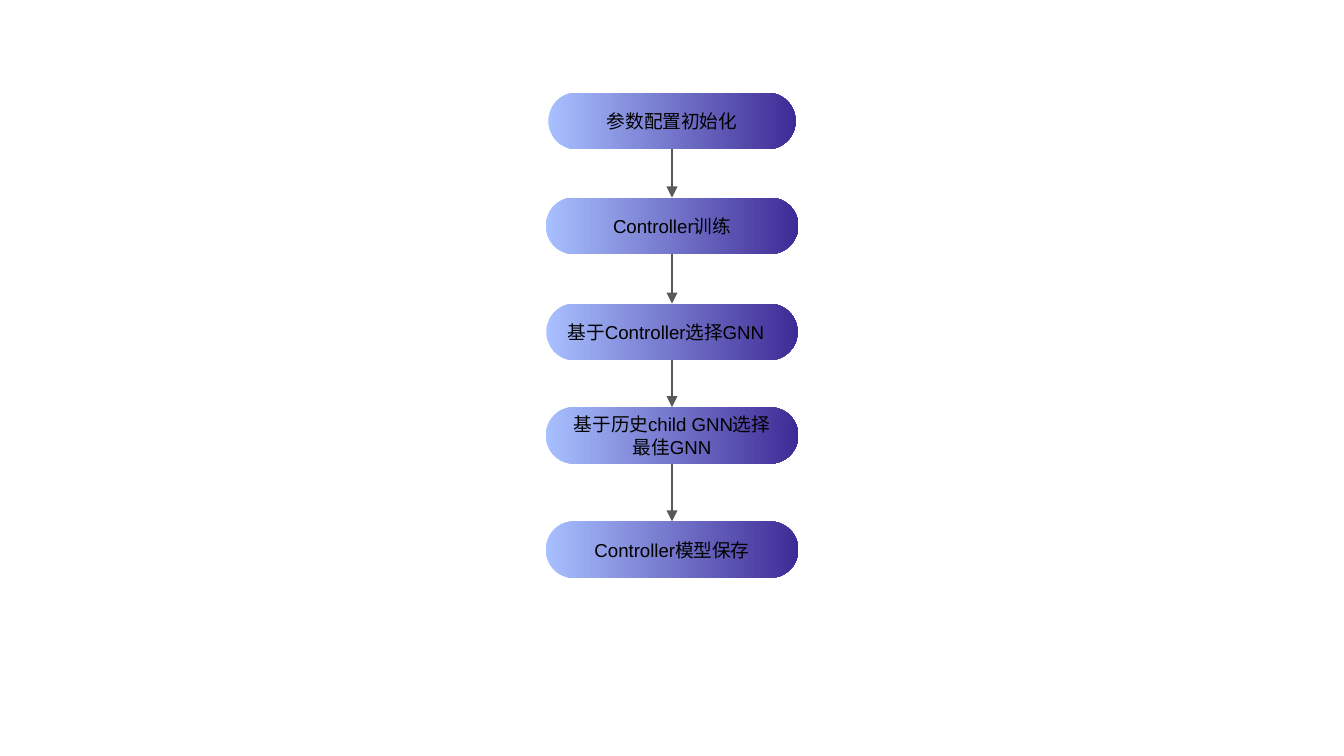
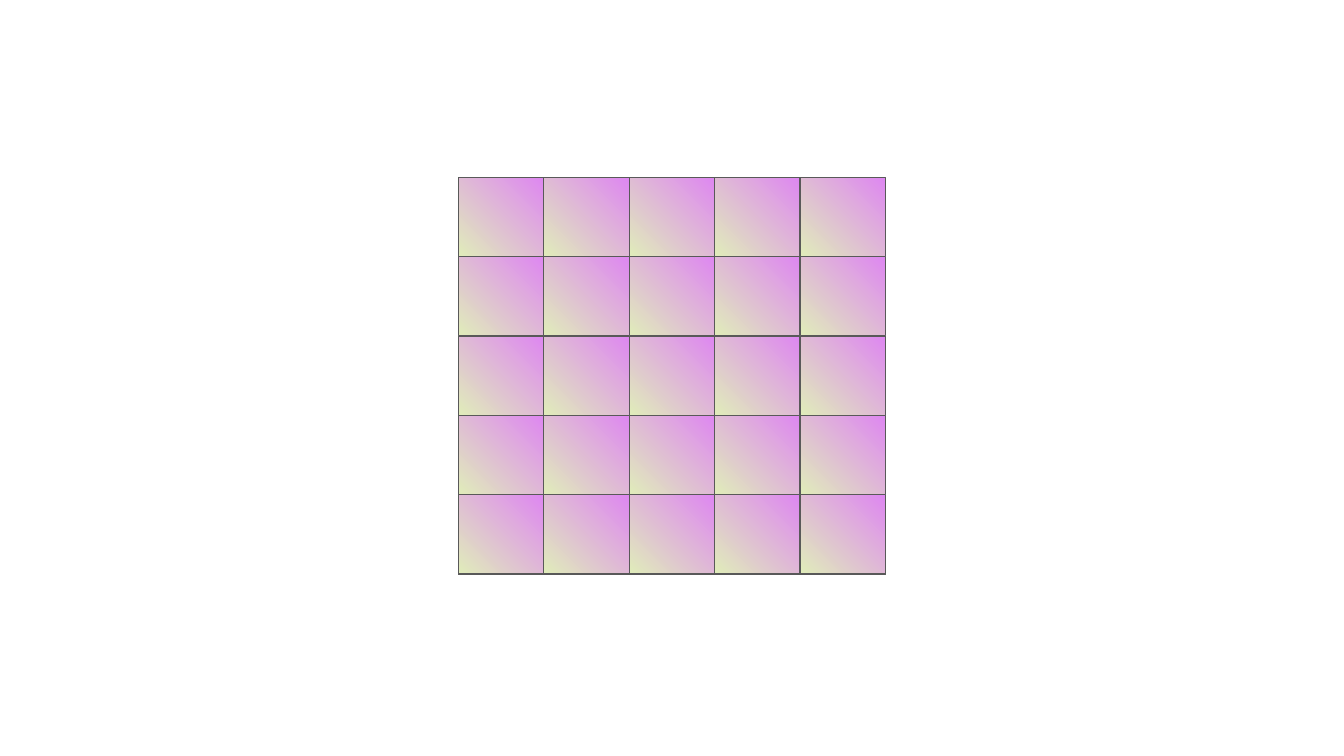
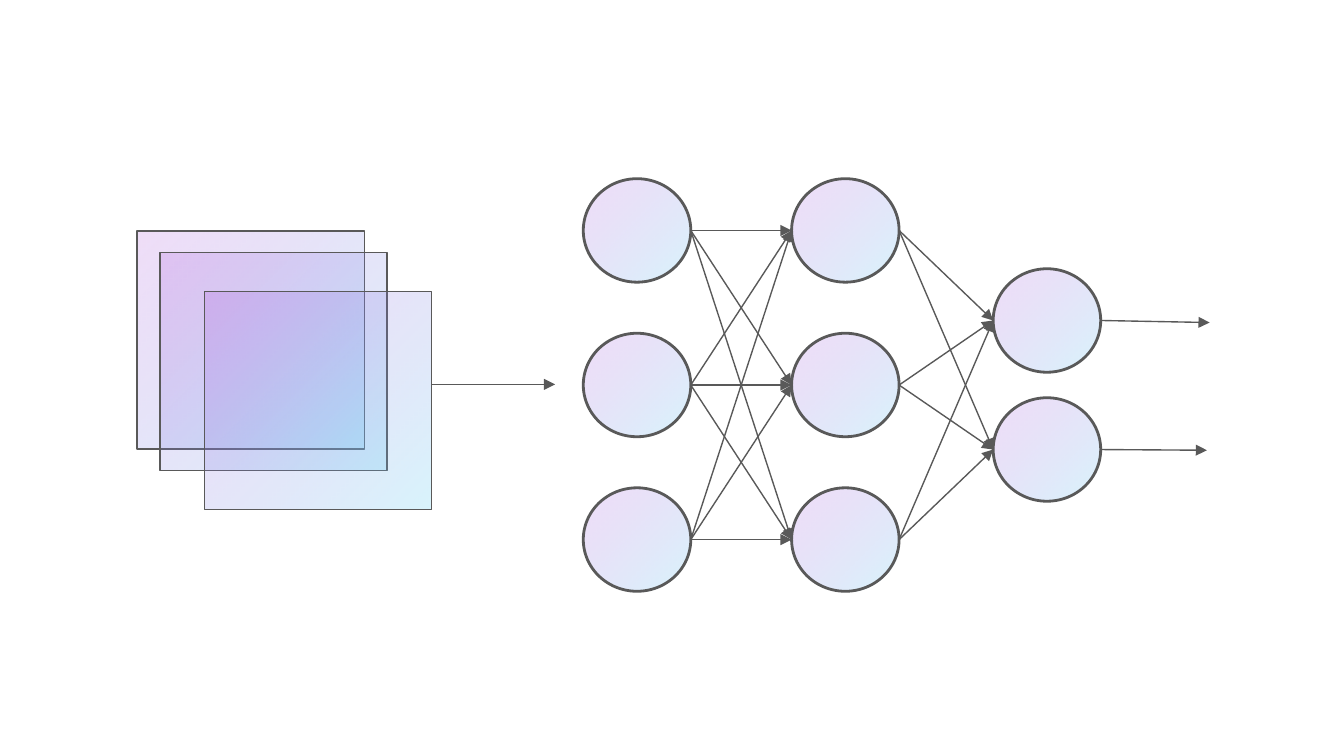
from itertools import pairwise, product

from pptx import Presentation
from pptx.dml.color import RGBColor
from pptx.enum.shapes import MSO_CONNECTOR as Connector, MSO_SHAPE as Shape
from pptx.enum.text import MSO_ANCHOR as Anchor, PP_ALIGN as Align
from pptx.oxml.ns import qn
from pptx.oxml.xmlchemy import OxmlElement
from pptx.util import Inches, Pt

COLORS = {
    "line": "595959",
    "text": "000000",
    "step_light": "A8C0FF",
    "step_dark": "3F2B96",
    "cell_green": "E0EDBA",
    "cell_pink": "DE87F1",
    "layer_cyan": "69D4F4",
    "layer_purple": "9F39D5",
}
STEP_FILL = {"stops": ("step_light", "step_dark"), "angle": 0}
CELL_FILL = {"stops": ("cell_green", "cell_pink"), "angle": 225}
LAYER_FILL = {"stops": ("layer_cyan", "layer_purple"), "angle": 225, "opacity": (26, 17)}

FONT = "Arial"
FONT_SIZE = 10
THIN, THICK = 0.75, 1.5

SLIDE_WIDTH = 10
SLIDE_HEIGHT = SLIDE_WIDTH * 9 / 16
CENTER_X = SLIDE_WIDTH / 2
STEP_HEIGHT = 0.42
STEPS = [
    ("参数配置初始化", 0.69, 1.84, Align.CENTER),
    ("Controller训练", 1.47, 1.88, Align.CENTER),
    ("基于Controller选择GNN", 2.26, 1.87, Align.LEFT),
    ("基于历史child GNN选择\n最佳GNN", 3.03, 1.88, Align.CENTER),
    ("Controller模型保存", 3.88, 1.88, Align.CENTER),
]

GRID_COUNT = 5
GRID_LEFT, GRID_TOP, GRID_WIDTH, GRID_HEIGHT = 3.41, 1.32, 3.18, 2.95

MAP_WIDTH, MAP_HEIGHT = 1.69, 1.62
FEATURE_MAPS = [(1.02, 1.72), (1.19, 1.88), (1.52, 2.17)]
NODE_WIDTH, NODE_HEIGHT = 0.8, 0.77
NODE_LAYERS = [
    (4.34, [1.33, 2.48, 3.63]),
    (5.89, [1.33, 2.48, 3.63]),
    (7.39, [2, 2.96]),
]
OUTPUT_ENDS = [(9, 2.4), (8.98, 3.35)]


def rgb(name):
    return RGBColor.from_string(COLORS[name])


def fill_gradient(shape, stops, angle, opacity=()):
    shape.fill.gradient()
    shape.fill.gradient_angle = (360 - angle) % 360
    for stop, name in zip(shape.fill.gradient_stops, stops):
        stop.color.rgb = rgb(name)
    for color, percent in zip(shape._element.spPr.iter(qn("a:srgbClr")), opacity):
        alpha = OxmlElement("a:alpha")
        alpha.set("val", str(percent * 1000))
        color.append(alpha)


def add_gradient_shape(shapes, kind, left, top, width, height, gradient, weight=None):
    shape = shapes.add_shape(kind, Inches(left), Inches(top), Inches(width), Inches(height))
    shape.shadow.inherit = False
    fill_gradient(shape, **gradient)
    if weight:
        shape.line.color.rgb = rgb("line")
        shape.line.width = Pt(weight)
    else:
        shape.line.fill.background()
    return shape


def add_arrow(page, start, end):
    points = [Inches(value) for value in (*start, *end)]
    arrow = page.shapes.add_connector(Connector.STRAIGHT, *points)
    arrow.line.color.rgb = rgb("line")
    arrow.line.width = Pt(THIN)
    head = OxmlElement("a:tailEnd")
    head.set("type", "triangle")
    properties = arrow._element.spPr
    properties.find(qn("a:ln")).append(head)
    properties.append(OxmlElement("a:effectLst"))


def add_step(page, text, top, width, align):
    step = add_gradient_shape(page.shapes, Shape.ROUNDED_RECTANGLE, CENTER_X - width / 2, top,
                              width, STEP_HEIGHT, STEP_FILL)
    step.adjustments[0] = 0.5
    frame = step.text_frame
    frame.text = text
    frame.word_wrap = True
    frame.vertical_anchor = Anchor.MIDDLE
    frame.margin_left = frame.margin_right = Inches(0.1)
    frame.margin_top = frame.margin_bottom = Inches(0.1)
    for para in frame.paragraphs:
        para.alignment = align
        for span in para.runs:
            span.font.name = FONT
            span.font.size = Pt(FONT_SIZE)
            span.font.color.rgb = rgb("text")


def add_cell(group, left, top, width, height):
    cell = add_gradient_shape(group.shapes, Shape.RECTANGLE, left, top, width, height,
                              CELL_FILL, THIN)
    cell._element.spPr.xfrm.set("flipH", "1")


def build_flow(page):
    for step in STEPS:
        add_step(page, *step)
    tops = [top for _, top, _, _ in STEPS]
    for top, next_top in pairwise(tops):
        add_arrow(page, (CENTER_X, top + STEP_HEIGHT), (CENTER_X, next_top))


def build_grid(page):
    group = page.shapes.add_group_shape()
    add_cell(group, GRID_LEFT, GRID_TOP, GRID_WIDTH, GRID_HEIGHT)
    width, height = GRID_WIDTH / GRID_COUNT, GRID_HEIGHT / GRID_COUNT
    for row, column in product(range(GRID_COUNT), repeat=2):
        add_cell(group, GRID_LEFT + column * width, GRID_TOP + row * height, width, height)


def build_network(page):
    for left, top in FEATURE_MAPS:
        add_gradient_shape(page.shapes, Shape.RECTANGLE, left, top, MAP_WIDTH, MAP_HEIGHT,
                           LAYER_FILL, THIN)
    add_arrow(page, (3.21, 2.86), (4.13, 2.86))
    for left, tops in NODE_LAYERS:
        for top in tops:
            add_gradient_shape(page.shapes, Shape.OVAL, left, top, NODE_WIDTH, NODE_HEIGHT,
                               LAYER_FILL, THICK)
    inputs = [[(left, top + NODE_HEIGHT / 2) for top in tops] for left, tops in NODE_LAYERS]
    outputs = [[(x + NODE_WIDTH, y) for x, y in layer] for layer in inputs]
    for sources, targets in zip(outputs, inputs[1:]):
        for start, end in product(sources, targets):
            add_arrow(page, start, end)
    for start, end in zip(outputs[-1], OUTPUT_ENDS):
        add_arrow(page, start, end)


def main():
    deck = Presentation()
    deck.slide_width, deck.slide_height = Inches(SLIDE_WIDTH), Inches(SLIDE_HEIGHT)
    for build in (build_flow, build_grid, build_network):
        build(deck.slides.add_slide(deck.slide_layouts[6]))
    deck.save("out.pptx")


if __name__ == "__main__":
    main()
